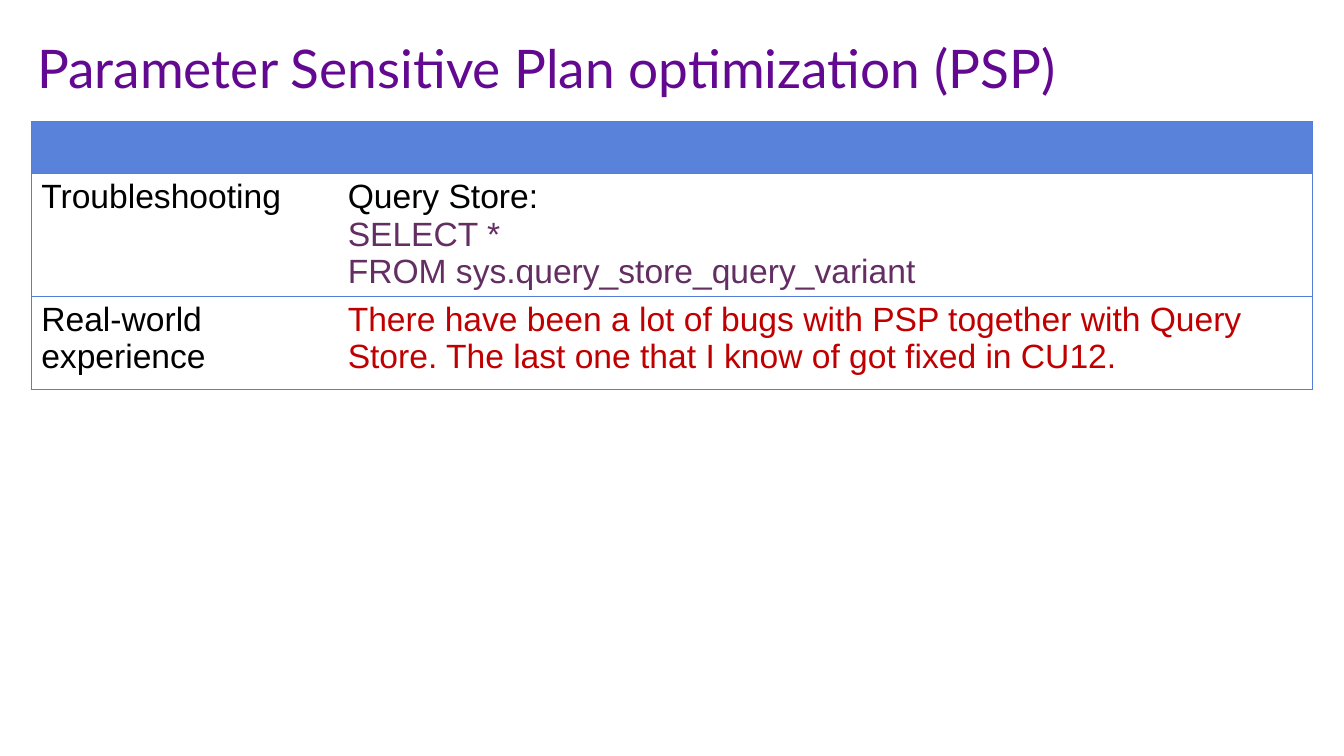
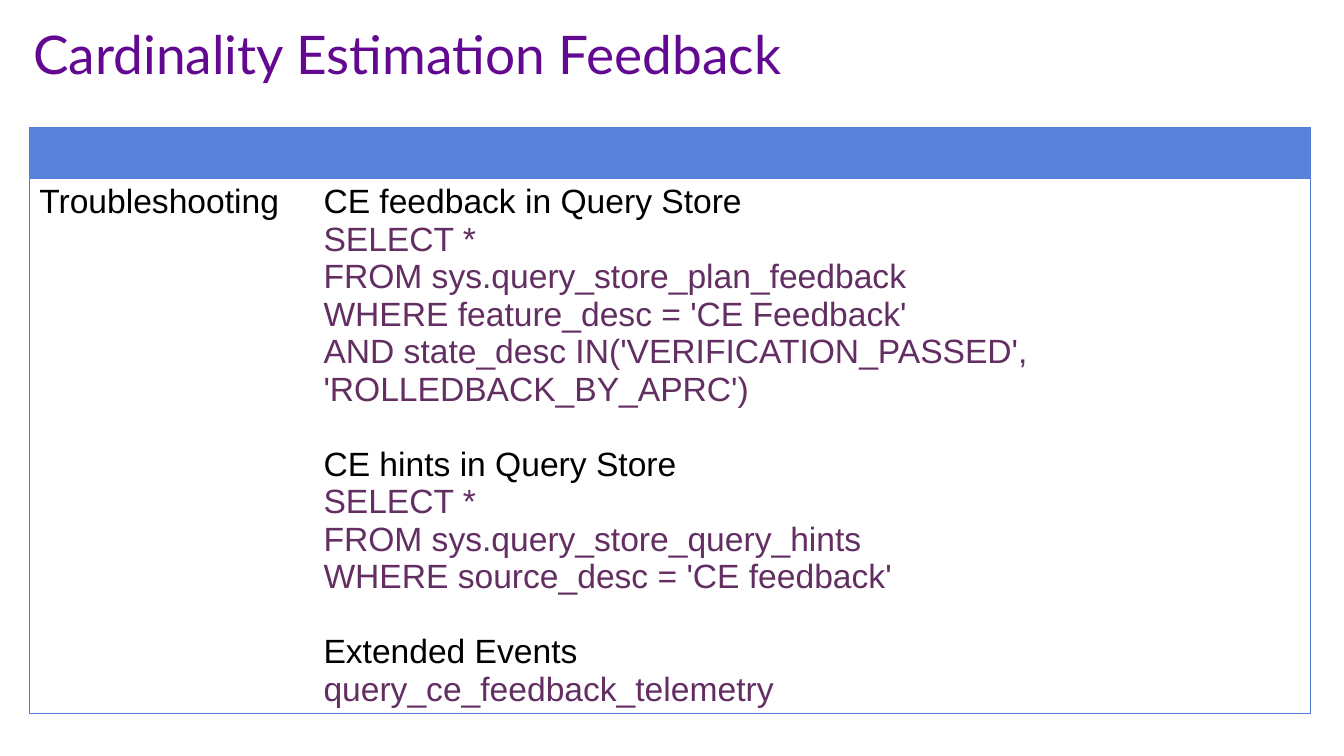
"""Build two slides on troubleshooting query plan features."""
from dataclasses import dataclass

from lxml import etree
from pptx import Presentation
from pptx.dml.color import RGBColor
from pptx.enum import text
from pptx.oxml import ns
from pptx.util import Pt


@dataclass(frozen=True)
class Theme:
    """Colours, fonts and sizes shared by the slides."""
    title: str = "630991"
    label: str = "000000"
    code: str = "632E62"
    warning: str = "C00000"
    header: str = "5982DB"
    border: str = "547ED9"
    title_font: str = "Lato"
    body_font: str = "Arial"
    title_size: float = 38
    body_size: float = 24
    section_gap: float = 26.8
    border_width: float = 0.75


THEME = Theme()
SLIDE_W, SLIDE_H = 960, 540
TITLE_SIZE = (867, 90)
TABLE_W, HEADER_H = 915.1, 36.8

SLIDES = [
    {
        "title": "Parameter Sensitive Plan optimization (PSP)",
        "title_at": (19.4, 2.9),
        "table_at": (22.3, 87.1),
        "label_w": 218.9,
        "rows": [
            (87.6, "Troubleshooting", [[
                ("label", "Query Store:"),
                ("code", "SELECT *"),
                ("code", "FROM sys.query_store_query_variant"),
            ]]),
            (66.6, "Real-world experience", [[
                ("warning", "There have been a lot of bugs with PSP together with Query Store. "
                            "The last one that I know of got fixed in CU12."),
            ]]),
        ],
    },
    {
        "title": "Cardinality Estimation Feedback",
        "title_at": (16.6, -7.2),
        "table_at": (20.9, 90.7),
        "label_w": 203,
        "rows": [
            (381.6, "Troubleshooting", [
                [
                    ("label", "CE feedback in Query Store"),
                    ("code", "SELECT *"),
                    ("code", "FROM sys.query_store_plan_feedback"),
                    ("code", "WHERE feature_desc = 'CE Feedback'"),
                    ("code", "AND state_desc IN('VERIFICATION_PASSED', 'ROLLEDBACK_BY_APRC')"),
                ],
                [
                    ("label", "CE hints in Query Store"),
                    ("code", "SELECT *"),
                    ("code", "FROM sys.query_store_query_hints"),
                    ("code", "WHERE source_desc = 'CE feedback'"),
                ],
                [
                    ("label", "Extended Events"),
                    ("code", "query_ce_feedback_telemetry"),
                ],
            ]),
        ],
    },
]


def style(p, font, size, color):
    p.alignment = text.PP_ALIGN.LEFT
    for r in p.runs:
        r.font.name, r.font.size, r.font.bold = font, Pt(size), False
        r.font.color.rgb = RGBColor.from_string(color)


def add_title(s, title, at):
    sp = s.shapes.title
    sp.left, sp.top, sp.width, sp.height = map(Pt, at + TITLE_SIZE)
    tf = sp.text_frame
    tf.text = title
    tf.auto_size = text.MSO_AUTO_SIZE.NONE
    tf.vertical_anchor = text.MSO_ANCHOR.MIDDLE
    style(tf.paragraphs[0], THEME.title_font, THEME.title_size, THEME.title)


def fill_cell(cell, sections):
    tf = cell.text_frame
    p = tf.paragraphs[0]
    for i, section in enumerate(sections):
        for j, (role, line) in enumerate(section):
            if i or j:
                p = tf.add_paragraph()
            p.text = line
            style(p, THEME.body_font, THEME.body_size, getattr(THEME, role))
            if i and not j:
                p.space_before = Pt(THEME.section_gap)


def add_border(cell, side):
    tc_pr = cell._tc.get_or_add_tcPr()
    ln = etree.SubElement(tc_pr, ns.qn(f"a:ln{side}"), w=str(Pt(THEME.border_width)))
    fill = etree.SubElement(ln, ns.qn("a:solidFill"))
    etree.SubElement(fill, ns.qn("a:srgbClr"), val=THEME.border)


def add_table(s, at, label_w, rows):
    heights = [HEADER_H] + [height for height, _, _ in rows]
    box = map(Pt, at + (TABLE_W, sum(heights)))
    frame = s.shapes.add_table(len(heights), 2, *box)
    for style_id in frame._element.iter(ns.qn("a:tableStyleId")):
        style_id.text = "{2D5ABB26-0587-4C30-8999-92F81FD0307C}"
    table = frame.table
    table.horz_banding = False
    for column, width in zip(table.columns, (label_w, TABLE_W - label_w)):
        column.width = Pt(width)
    for i, height in enumerate(heights):
        table.rows[i].height = Pt(height)
        for j in range(2):
            cell = table.cell(i, j)
            for side in ("R" if j else "L") + ("B" if i else "TB"):
                add_border(cell, side)
            if i:
                cell.fill.background()
            else:
                cell.fill.solid()
                cell.fill.fore_color.rgb = RGBColor.from_string(THEME.header)
    for i, (_, label, sections) in enumerate(rows, 1):
        fill_cell(table.cell(i, 0), [[("label", label)]])
        fill_cell(table.cell(i, 1), sections)


def main():
    prs = Presentation()
    prs.slide_width, prs.slide_height = Pt(SLIDE_W), Pt(SLIDE_H)
    for content in SLIDES:
        s = prs.slides.add_slide(prs.slide_layouts[5])
        add_title(s, content["title"], content["title_at"])
        add_table(s, content["table_at"], content["label_w"], content["rows"])
    prs.save("out.pptx")


if __name__ == "__main__":
    main()
